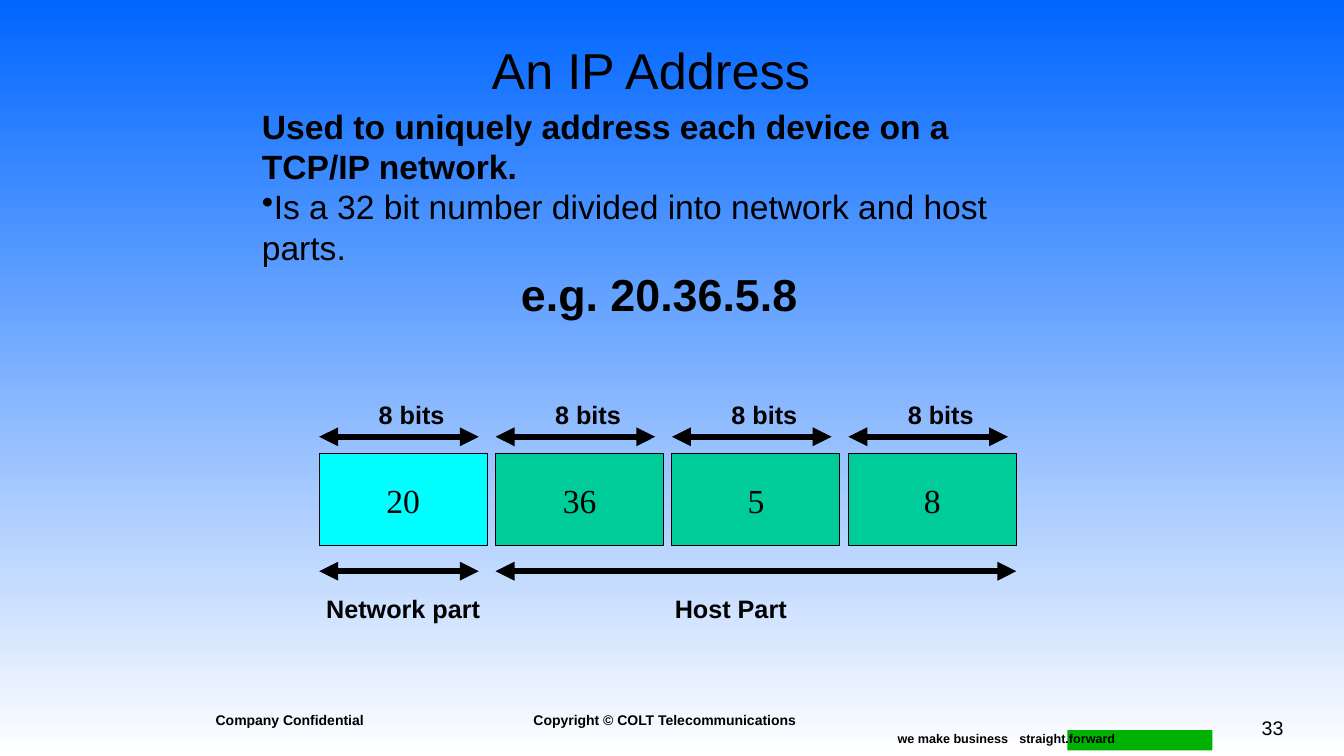
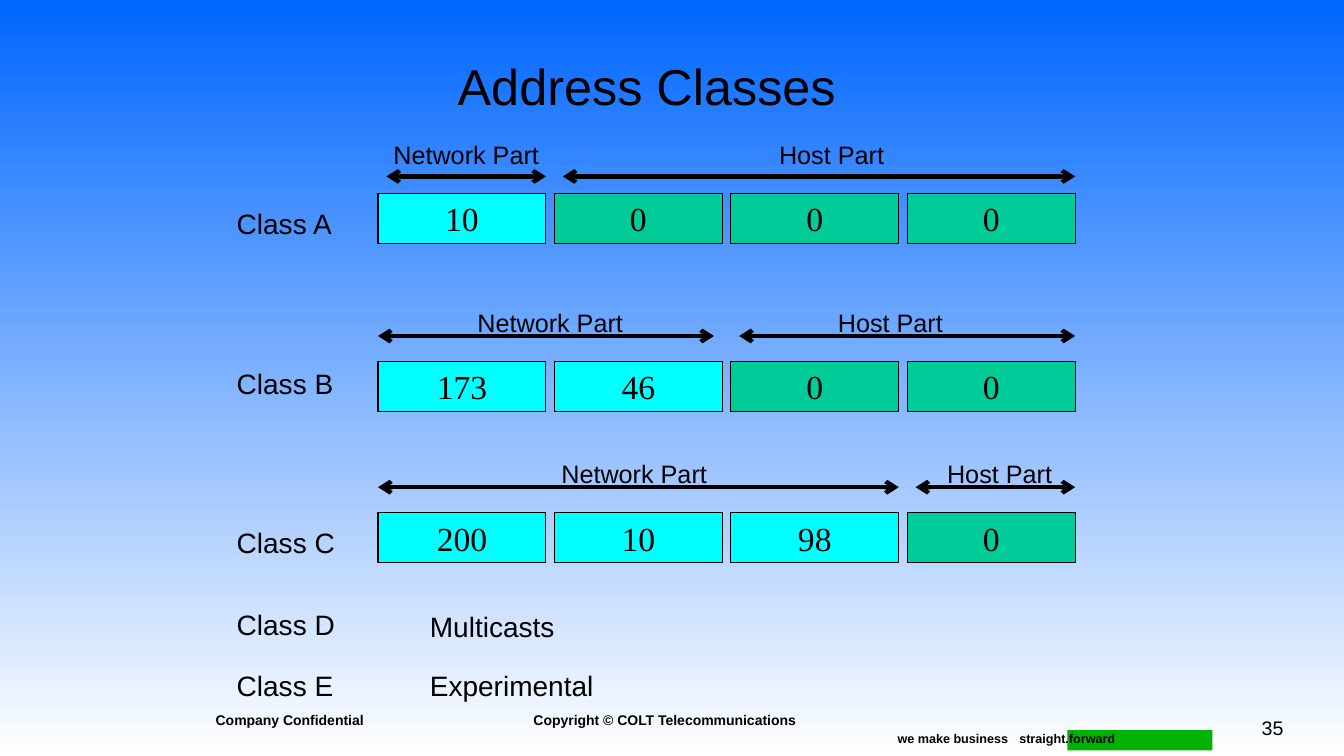
from dataclasses import dataclass

from lxml import etree
from pptx import Presentation
from pptx.dml.color import RGBColor
from pptx.enum.shapes import MSO_CONNECTOR, MSO_SHAPE
from pptx.enum.text import MSO_ANCHOR, MSO_AUTO_SIZE, PP_ALIGN
from pptx.oxml.ns import qn
from pptx.util import Pt

LEFT, CENTER = PP_ALIGN.LEFT, PP_ALIGN.CENTER
TOP, MIDDLE = MSO_ANCHOR.TOP, MSO_ANCHOR.MIDDLE
RECTANGLE, STRAIGHT = MSO_SHAPE.RECTANGLE, MSO_CONNECTOR.STRAIGHT
NO_AUTOFIT = MSO_AUTO_SIZE.NONE

SLIDE_WIDTH, SLIDE_HEIGHT = 960, 540
TITLE_ONLY = 5
SANS, SERIF = "Arial", "Times New Roman"
BLACK, WHITE, SKY = "000000", "FFFFFF", "0066FF"
NETWORK_FILL, HOST_FILL, BRAND_GREEN = "00FFFF", "00CC99", "00B200"
CELL_WIDTH, CELL_PITCH = 120, 126


@dataclass
class Span:
    """An arrow from start to end, with the label that names it."""
    start: float
    end: float
    label: str
    label_left: float
    label_width: float


@dataclass
class AddressClass:
    name: str
    name_top: float
    label_top: float
    arrow_top: float
    cell_top: float
    octets: list[str]
    network_count: int
    spans: list[Span]


@dataclass
class PlainClass:
    name: str
    name_top: float
    use: str
    use_top: float


ADDRESS_CLASSES = [
    AddressClass("Class A", 144, 96, 126, 138, ["10", "0", "0", "0"], 1,
                 [Span(276, 390, "Network Part", 270, 126),
                  Span(402, 768, "Host Part", 516, 156)]),
    AddressClass("Class B", 258, 216, 240, 258, ["173", "46", "0", "0"], 2,
                 [Span(270, 510, "Network Part", 330, 126),
                  Span(528, 768, "Host Part", 558, 156)]),
    AddressClass("Class C", 372, 324, 348, 366, ["200", "10", "98", "0"], 3,
                 [Span(270, 642, "Network Part", 390, 126),
                  Span(654, 768, "Host Part", 636, 156)]),
]
PLAIN_CLASSES = [
    PlainClass("Class D", 430.5, "Multicasts", 432),
    PlainClass("Class E", 474, "Experimental", 474),
]


# Basic parts
def color(value: str) -> RGBColor:
    return RGBColor.from_string(value)


def write(frame, text: str, *, size: float, font: str = SANS, bold: bool = False,
          align=LEFT, anchor=TOP, wrap: bool = True, bullet: str = "",
          tab: float = 0, more: bool = False) -> None:
    """Write one paragraph into a text frame; more=True adds it below the others."""
    frame.auto_size = NO_AUTOFIT
    frame.word_wrap = wrap
    frame.vertical_anchor = anchor
    para = frame.add_paragraph() if more else frame.paragraphs[0]
    properties = para._p.get_or_add_pPr()
    if bullet:
        etree.SubElement(properties, qn("a:buChar")).set("char", bullet)
    if tab:
        stops = etree.SubElement(properties, qn("a:tabLst"))
        etree.SubElement(stops, qn("a:tab"), pos=str(Pt(tab)), algn="l")
    para.alignment = align
    para.space_before = Pt(0)
    span = para.add_run()
    span.text = text
    span.font.name = font
    span.font.size = Pt(size)
    span.font.bold = bold
    span.font.color.rgb = color(BLACK)


def add_text(page, text: str, left: float, top: float, width: float,
             height: float, **style):
    box = page.shapes.add_textbox(Pt(left), Pt(top), Pt(width), Pt(height))
    write(box.text_frame, text, **style)
    return box


def add_rectangle(page, left: float, top: float, width: float, height: float,
                  fill: str, outline: str = ""):
    box = page.shapes.add_shape(RECTANGLE, Pt(left), Pt(top), Pt(width), Pt(height))
    box.shadow.inherit = False
    box.fill.solid()
    box.fill.fore_color.rgb = color(fill)
    if outline:
        box.line.color.rgb = color(outline)
        box.line.width = Pt(0.75)
    else:
        box.line.fill.background()
    return box


def add_arrow(page, start: float, end: float, top: float, width: float,
              head: str) -> None:
    """Draw a level line with an arrowhead at both ends."""
    arrow = page.shapes.add_connector(STRAIGHT, Pt(start), Pt(top), Pt(end), Pt(top))
    arrow.line.color.rgb = color(BLACK)
    arrow.line.width = Pt(width)
    properties = arrow._element.spPr
    line = properties.find(qn("a:ln"))
    for tag in ("a:headEnd", "a:tailEnd"):
        etree.SubElement(line, qn(tag), type=head)
    etree.SubElement(properties, qn("a:effectLst"))


def add_octets(page, octets: list[str], network_count: int, left: float,
               top: float, height: float) -> None:
    """Draw the four cells of an address, network cells first."""
    for index, octet in enumerate(octets):
        fill = NETWORK_FILL if index < network_count else HOST_FILL
        cell = add_rectangle(page, left + index * CELL_PITCH, top, CELL_WIDTH,
                             height, fill, BLACK)
        write(cell.text_frame, octet, size=24, font=SERIF, align=CENTER,
              anchor=MIDDLE, wrap=False)


# What the slides share
def set_background(deck) -> None:
    fill = deck.slide_master.background.fill
    fill.gradient()
    fill.gradient_angle = 270
    for stop, value in zip(fill.gradient_stops, (SKY, WHITE)):
        stop.color.rgb = color(value)


def add_page(deck, title: str, number: str, left: float, top: float, width: float):
    page = deck.slides.add_slide(deck.slide_layouts[TITLE_ONLY])
    heading = page.shapes.title
    heading.left, heading.top = Pt(left), Pt(top)
    heading.width, heading.height = Pt(width), Pt(50)
    write(heading.text_frame, title, size=36, align=CENTER)

    # Footer
    add_text(page, number, 857.5, 507, 103, 25, size=14, align=CENTER,
             anchor=MIDDLE, wrap=False)
    add_text(page, "Company Confidential\tCopyright © COLT Telecommunications",
             147, 505, 438, 19, size=10, bold=True, anchor=MIDDLE, tab=227)
    add_rectangle(page, 762.5, 521.5, 103.5, 14.5, BRAND_GREEN)
    add_text(page, "we make business\tstraight.forward", 634, 518.5, 171, 18,
             size=9, bold=True, anchor=MIDDLE, tab=87)
    return page


# Slides
def build_ip_address(deck) -> None:
    page = add_page(deck, "An IP Address", "33", 234, 24, 462)
    intro = add_text(page, "Used to uniquely address each device on a TCP/IP network.",
                     180, 72, 582, 163, size=24, bold=True).text_frame
    write(intro, "Is a 32 bit number divided into network and host parts.",
          size=24, bullet="•", more=True)
    write(intro, "e.g. 20.36.5.8", size=32, bold=True, align=CENTER, more=True)

    # Octets, each with its bit count
    first_left = 228
    octets = ["20", "36", "5", "8"]
    add_octets(page, octets, 1, first_left, 324, 66)
    for index in range(len(octets)):
        left = first_left + index * CELL_PITCH
        add_text(page, "8 bits", left + 6, 282, CELL_WIDTH, 29, size=18,
                 bold=True, align=CENTER)
        add_arrow(page, left, left + 114, 312, 4.5, "triangle")

    # Network and host parts
    for part in (Span(228, 342, "Network part", 210, 156),
                 Span(354, 726, "Host Part", 462, 120)):
        add_arrow(page, part.start, part.end, 408, 4.5, "triangle")
        add_text(page, part.label, part.label_left, 420.5, part.label_width, 29,
                 size=18, bold=True, align=CENTER)


def build_address_classes(deck) -> None:
    page = add_page(deck, "Address Classes", "35", 246, 36, 432)
    for row in ADDRESS_CLASSES:
        add_octets(page, row.octets, row.network_count, 270, row.cell_top, 36)
        for part in row.spans:
            add_arrow(page, part.start, part.end, row.arrow_top, 3, "arrow")
            add_text(page, part.label, part.label_left, row.label_top,
                     part.label_width, 29, size=18, align=CENTER)

    # Class names and the classes without octets
    for row in ADDRESS_CLASSES + PLAIN_CLASSES:
        add_text(page, row.name, 162, row.name_top, 96, 31, size=20)
    for row in PLAIN_CLASSES:
        add_text(page, row.use, 300, row.use_top, 294, 31, size=20)


def main() -> None:
    deck = Presentation()
    deck.slide_width, deck.slide_height = Pt(SLIDE_WIDTH), Pt(SLIDE_HEIGHT)
    set_background(deck)
    build_ip_address(deck)
    build_address_classes(deck)
    deck.save("out.pptx")


if __name__ == "__main__":
    main()
